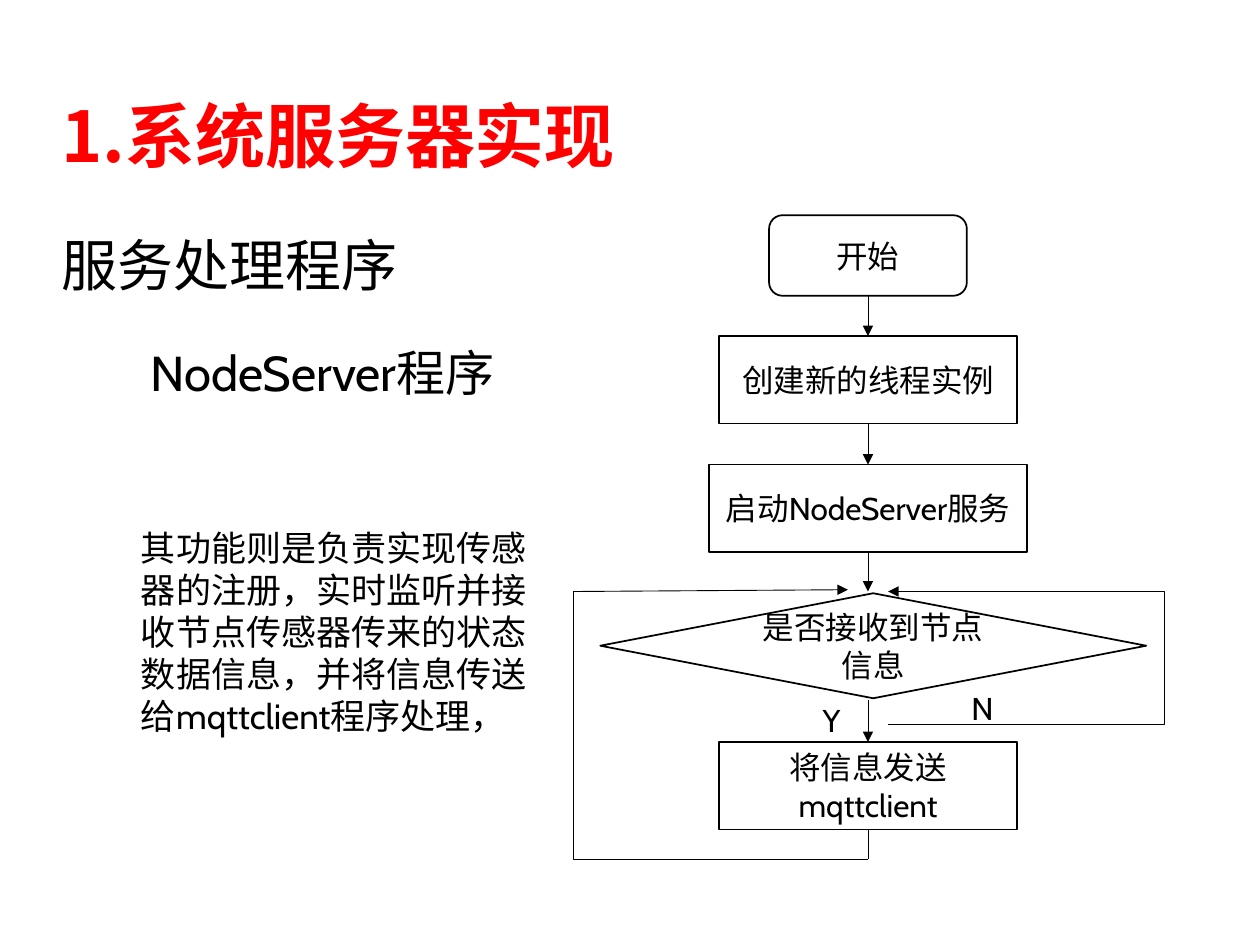
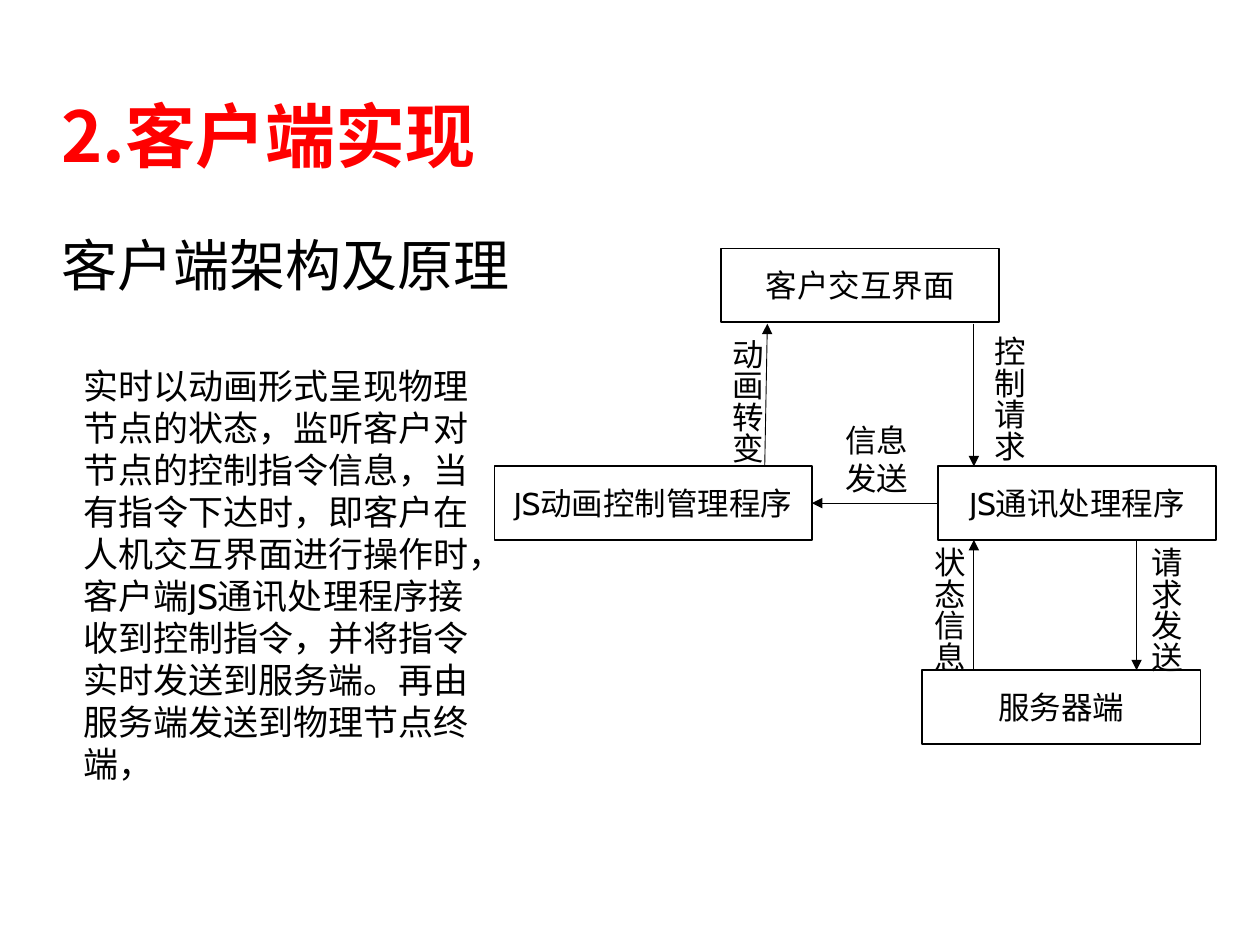
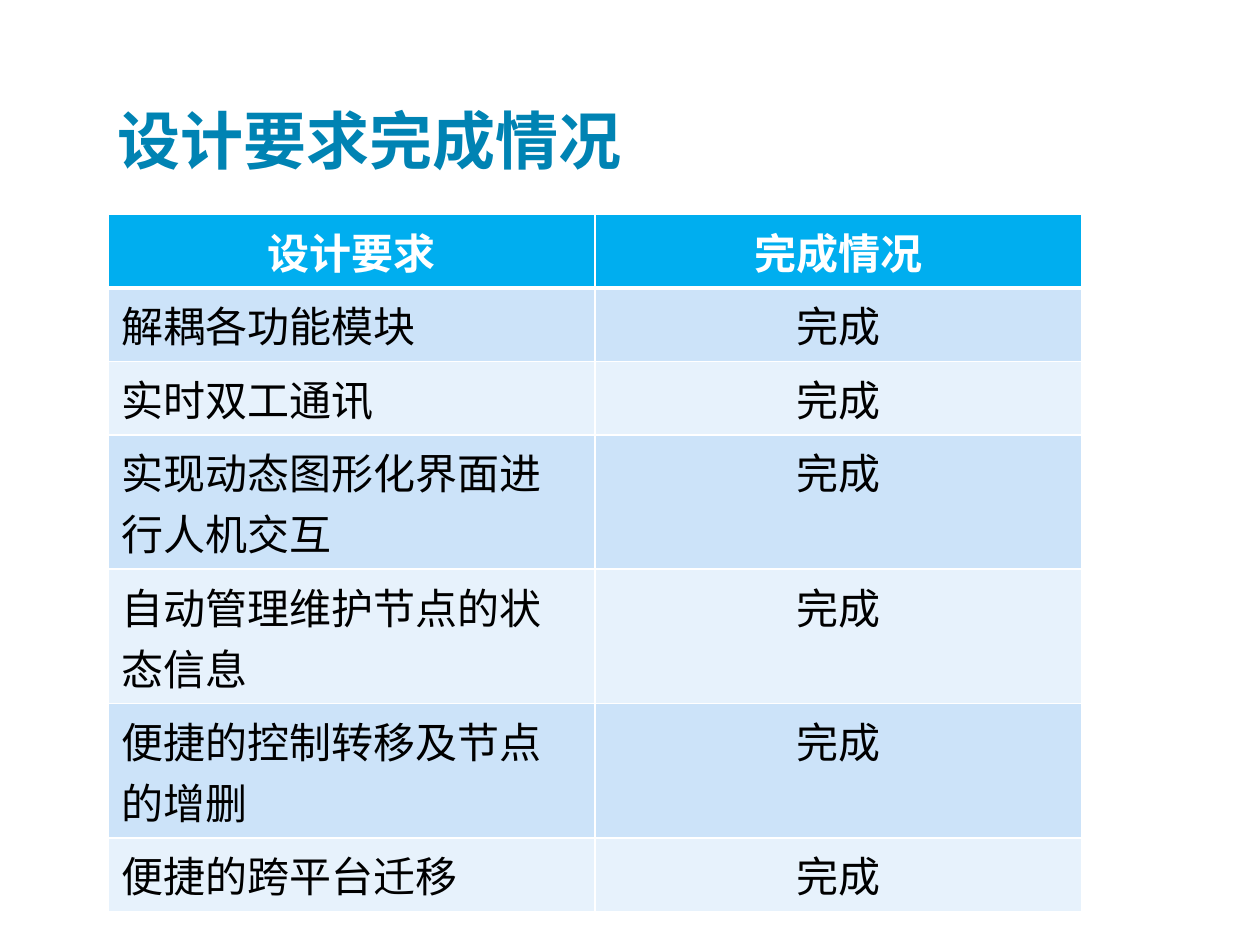
"""Build three slides: a server flow chart, a client diagram and a table of results."""
from lxml import etree
from pptx import Presentation
from pptx.dml.color import RGBColor
from pptx.enum.shapes import MSO_CONNECTOR, MSO_SHAPE
from pptx.enum.text import MSO_ANCHOR, PP_ALIGN
from pptx.oxml.ns import qn
from pptx.util import Pt

RECT, ROUND = MSO_SHAPE.RECTANGLE, MSO_SHAPE.ROUNDED_RECTANGLE
CHOICE = MSO_SHAPE.FLOWCHART_DECISION
LINE, ELBOW = MSO_CONNECTOR.STRAIGHT, MSO_CONNECTOR.ELBOW
LEFT, CENTER = PP_ALIGN.LEFT, PP_ALIGN.CENTER
TOP, MIDDLE, BOTTOM = MSO_ANCHOR.TOP, MSO_ANCHOR.MIDDLE, MSO_ANCHOR.BOTTOM
BODY, CJK = "Cabin", "Noto Sans CJK SC"
COLORS = {
    "black": "000000",
    "white": "FFFFFF",
    "red": "FF0000",
    "blue": "0083B3",
    "head": "00AEEF",
    "dark": "CCE3F9",
    "light": "E7F2FC",
}
RGB = {name: RGBColor.from_string(code) for name, code in COLORS.items()}


def write(frame, text, size=18, color="black", font=BODY, east=BODY, bold=False,
          align=LEFT, anchor=TOP, lead=1.2):
    """Fill a text frame with one formatted paragraph."""
    frame.word_wrap = True
    frame.vertical_anchor = anchor
    para = frame.paragraphs[0]
    para.alignment = align
    if lead:
        para.line_spacing = Pt(size * lead)
    run = para.add_run()
    run.text = text
    run.font.size = Pt(size)
    run.font.bold = bold
    run.font.color.rgb = RGB[color]
    run.font.name = font
    etree.SubElement(run._r.get_or_add_rPr(), qn("a:ea"), typeface=east)


def link(slide, start, end, tip=True, bend=None, begin=None, finish=None):
    """Draw a line between two points, joined to (shape, side) pairs if given."""
    kind = ELBOW if bend else LINE
    wire = slide.shapes.add_connector(kind, *map(Pt, start + end))
    if begin:
        wire.begin_connect(*begin)
    if finish:
        wire.end_connect(*finish)
    wire.line.width = Pt(0.5)
    wire.line.color.rgb = RGB["black"]
    props = wire.element.spPr
    if tip:
        etree.SubElement(props.find(qn("a:ln")), qn("a:tailEnd"), type="triangle")
    if bend:
        guides = props.find(qn("a:prstGeom")).find(qn("a:avLst"))
        etree.SubElement(guides, qn("a:gd"), name="adj1", fmla=f"val {bend}")
    etree.SubElement(props, qn("a:effectLst"))


deck = Presentation()
deck.slide_width, deck.slide_height = Pt(720), Pt(540)
server, client, result = [deck.slides.add_slide(deck.slide_layouts[6]) for _ in range(3)]

titles = [
    (server, "1.系统服务器实现", (28, 41, 340, 60), 40, "red"),
    (client, "2.客户端实现", (28, 41, 340, 60), 40, "red"),
    (result, "设计要求完成情况", (60, 49, 318, 52), 36, "blue"),
]
for slide, text, area, size, color in titles:
    frame = slide.shapes.add_textbox(*map(Pt, area)).text_frame
    frame.margin_bottom = 0
    write(frame, text, size=size, color=color, font=CJK, east=CJK, bold=True, anchor=BOTTOM)

notes = [
    (server, "服务处理程序", (28, 128, 293, 46), 32),
    (server, "NodeServer程序", (79, 192, 225, 41), 28),
    (server, "其功能则是负责实现传感器的注册，实时监听并接收节点传感器传来的状态数据信息，"
             "并将信息传送给mqttclient程序处理，", (73.5, 297.5, 249, 128), 20),
    (client, "客户端架构及原理", (28, 128, 293, 46), 32),
    (client, "实时以动画形式呈现物理节点的状态，监听客户对节点的控制指令信息，当有指令下达时，"
             "即客户在人机交互界面进行操作时，客户端JS通讯处理程序接收到控制指令，"
             "并将指令实时发送到服务端。再由服务端发送到物理节点终端，", (40.5, 204.5, 249, 250), 20),
    (server, "Y", (463, 397, 45, 29), 18),
    (server, "N", (548, 390, 45, 29), 18),
    (client, "信息发送", (476, 237, 62.5, 51), 18),
]
for slide, text, area, size in notes:
    write(slide.shapes.add_textbox(*map(Pt, area)).text_frame, text, size=size)

boxes = [
    (server, "开始", ROUND, (439.5, 123, 113, 46)),
    (server, "创建新的线程实例", RECT, (411, 192, 170, 50)),
    (server, "启动NodeServer服务", RECT, (405, 265.5, 182, 50)),
    (server, "是否接收到节点信息", CHOICE, (343, 339, 312, 60)),
    (server, "将信息发送mqttclient", RECT, (411, 424, 170, 50)),
    (client, "JS动画控制管理程序", RECT, (282.5, 266.5, 181.5, 42)),
    (client, "客户交互界面", RECT, (412, 142, 159, 42)),
    (client, "JS通讯处理程序", RECT, (536, 266.5, 159, 42)),
    (client, "服务器端", RECT, (527, 383, 159, 42)),
]
made = []
for slide, text, kind, area in boxes:
    box = slide.shapes.add_shape(kind, *map(Pt, area))
    box.shadow.inherit = False
    box.fill.solid()
    box.fill.fore_color.rgb = RGB["white"]
    box.line.color.rgb = RGB["black"]
    box.line.width = Pt(1)
    write(box.text_frame, text, align=CENTER, anchor=MIDDLE)
    made.append(box)
start, create, launch, choice, send, motion, screen, talk, host = made

mid = 496
link(server, (mid, 169), (mid, 192), begin=(start, 2), finish=(create, 0))
link(server, (mid, 242), (mid, 265.5), begin=(create, 2), finish=(launch, 0))
link(server, (mid, 315.5), (mid, 338), begin=(launch, 2))
link(server, (mid, 400), (mid, 424), finish=(send, 0))
link(server, (507.5, 414), (609, 338), tip=False, bend=155800)
link(server, (609, 338), (507.5, 338))
link(server, (mid, 491), (332, 338), tip=False, bend=102500)
link(server, (mid, 474), (mid, 491), tip=False, begin=(send, 2))
link(server, (332, 338), (484.5, 337))

link(client, (437, 266.5), (438.5, 185))
link(client, (556.5, 185), (556.5, 266.5))
link(client, (536, 287.5), (464, 287.5), begin=(talk, 1), finish=(motion, 3))
link(client, (649.5, 308.5), (649.5, 383))
link(client, (556.5, 383), (556.5, 308.5))

labels = [
    ("动画转变", 405.5, 186.5),
    ("控制请求", 555, 185),
    ("状态信息", 520.5, 305.5),
    ("请求发送", 644.5, 305.5),
]
for text, left, top in labels:
    label = client.shapes.add_textbox(Pt(left), Pt(top), Pt(36), Pt(99.5))
    write(label.text_frame, text)
    label.element.txBody.bodyPr.set("vert", "eaVert")

done = "完成"
rows = [
    ("设计要求", "完成情况"),
    ("解耦各功能模块", done),
    ("实时双工通讯", done),
    ("实现动态图形化界面进行人机交互", done),
    ("自动管理维护节点的状态信息", done),
    ("便捷的控制转移及节点的增删", done),
    ("便捷的跨平台迁移", done),
]
tall = [76.8 if len(need) > 10 else 42 for need, _ in rows]
grid = result.shapes.add_table(len(rows), 2, Pt(62), Pt(122.5), Pt(556), Pt(sum(tall))).table
for r, row in enumerate(rows):
    grid.rows[r].height = Pt(tall[r])
    head = r == 0
    for c, text in enumerate(row):
        cell = grid.cell(r, c)
        props = cell._tc.get_or_add_tcPr()
        for side in "LRTB":
            thick = (r, side) in [(0, "B"), (1, "T")]
            edge = etree.SubElement(props, qn(f"a:ln{side}"), w=str(Pt(3 if thick else 1)))
            fill = etree.SubElement(edge, qn("a:solidFill"))
            etree.SubElement(fill, qn("a:srgbClr"), val=COLORS["white"])
        cell.fill.solid()
        cell.fill.fore_color.rgb = RGB["head" if head else "dark" if r % 2 else "light"]
        write(cell.text_frame, text, size=24, color="white" if head else "black", east=CJK,
              bold=head, align=CENTER if head or c else LEFT, lead=None)

deck.save("out.pptx")
